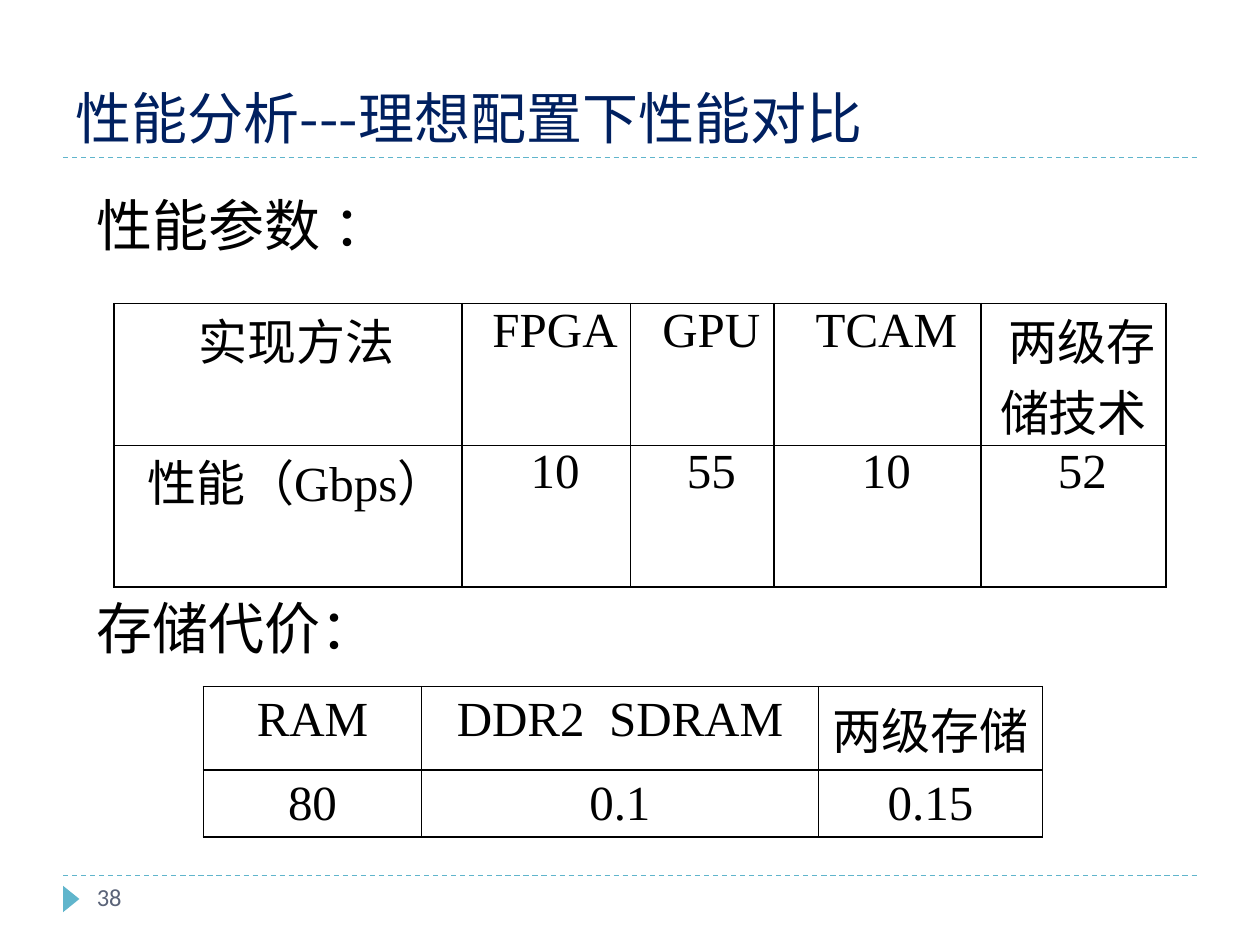
from dataclasses import dataclass

from lxml import etree
from pptx import Presentation, util as u
from pptx.dml.color import RGBColor
from pptx.enum import dml, shapes, text
from pptx.oxml.ns import qn


@dataclass(frozen=True)
class Theme:
    ink: str = "000000"
    navy: str = "002060"
    teal: str = "60B5CC"
    slate: str = "5A6378"
    cjk: str = "Noto Sans CJK SC"
    serif: str = "Times New Roman"
    sans: str = "Calibri"
    head: int = 32
    cell: int = 28
    foot: int = 14
    rule: float = 0.75
    edge: float = 1


LEFT, MID = text.PP_ALIGN.LEFT, text.PP_ALIGN.CENTER
TOP, LOW = text.MSO_ANCHOR.TOP, text.MSO_ANCHOR.BOTTOM


def put(obj, vals):
    for name, val in vals.items():
        setattr(obj, name, val)


def rgb(code):
    return RGBColor.from_string(code)


class Deck:
    """Places elements on a grid of 100 columns by 75 rows."""

    def __init__(self, theme):
        self.theme = theme
        self.prs = Presentation()
        put(self.prs, {"slide_width": u.Inches(10), "slide_height": u.Inches(7.5)})
        self.slide = self.prs.slides.add_slide(self.prs.slide_layouts[1])

    def col(self, n):
        return round(self.prs.slide_width * n / 100)

    def row(self, n):
        return round(self.prs.slide_height * n / 75)

    def box(self, x, y, w, h):
        return self.col(x), self.row(y), self.col(w), self.row(h)

    def place(self, shape, box):
        put(shape, dict(zip(("left", "top", "width", "height"), self.box(*box))))

    def para(self, par, words, size, font, color, align=LEFT, indent=0, gap=0):
        run = par.add_run()
        run.text = words
        put(par, {"alignment": align, "space_before": u.Pt(gap)})
        put(run.font, {"size": u.Pt(size), "name": font})
        run.font.color.rgb = rgb(color)
        latin = run.font._element.find(qn("a:latin"))
        east = etree.Element(qn("a:ea"), typeface=self.theme.cjk)
        latin.addnext(east)
        props = par._p.get_or_add_pPr()
        props.set("marL", "0")
        props.set("indent", str(self.col(indent)))
        etree.SubElement(props, qn("a:buNone"))

    def frame(self, shape, anchor=TOP):
        put(shape.text_frame, {"word_wrap": True, "vertical_anchor": anchor,
                               "auto_size": text.MSO_AUTO_SIZE.NONE})
        return shape.text_frame

    def title(self, words, box):
        shape = self.slide.shapes.title
        self.place(shape, box)
        frame = self.frame(shape, LOW)
        t = self.theme
        self.para(frame.paragraphs[0], words, t.head, t.cjk, t.navy)

    def body(self, heads, box, gap):
        """Section heads, with gap points of room for a table between them."""
        shape = self.slide.placeholders[1]
        self.place(shape, box)
        frame = self.frame(shape)
        t = self.theme
        for i, words in enumerate(heads):
            par = frame.add_paragraph() if i else frame.paragraphs[0]
            self.para(par, words, t.head, t.cjk, t.ink, gap=gap if i else 0)

    def label(self, words, box):
        shape = self.slide.shapes.add_textbox(*self.box(*box))
        t = self.theme
        self.para(self.frame(shape).paragraphs[0], words, t.foot, t.sans, t.slate)

    def rule(self, y):
        x1, x2, y = self.col(5), self.col(95), self.row(y)
        line = self.slide.shapes.add_connector(shapes.MSO_CONNECTOR.STRAIGHT, x1, y, x2, y)
        line.line.color.rgb = rgb(self.theme.teal)
        put(line.line, {"width": u.Pt(self.theme.rule),
                        "dash_style": dml.MSO_LINE.DASH})
        etree.SubElement(line._element.spPr, qn("a:effectLst"))

    def mark(self, box):
        shape = self.slide.shapes.add_shape(shapes.MSO_SHAPE.ISOSCELES_TRIANGLE,
                                            *self.box(*box))
        shape.rotation = 90
        shape.shadow.inherit = False
        shape.fill.solid()
        shape.fill.fore_color.rgb = rgb(self.theme.teal)
        shape.line.fill.background()

    def edges(self, cell):
        props = cell._tc.get_or_add_tcPr()
        for i, side in enumerate(("lnL", "lnR", "lnT", "lnB")):
            line = etree.Element(qn("a:" + side), w=str(u.Pt(self.theme.edge)))
            fill = etree.SubElement(line, qn("a:solidFill"))
            etree.SubElement(fill, qn("a:srgbClr"), val=self.theme.ink)
            props.insert(i, line)

    def table(self, data, x, y, cols, rows, indent=0, pads=None):
        shape = self.slide.shapes.add_table(len(rows), len(cols),
                                            *self.box(x, y, sum(cols), sum(rows)))
        grid = shape.table
        put(grid, {"first_row": False, "horz_banding": False})
        for part, width in zip(grid.columns, cols):
            part.width = self.col(width)
        for part, height in zip(grid.rows, rows):
            part.height = self.row(height)
        t = self.theme
        for r, line in enumerate(data):
            for c, words in enumerate(line):
                cell = grid.cell(r, c)
                put(cell, pads or {})
                cell.fill.background()
                self.edges(cell)
                self.para(cell.text_frame.paragraphs[0], words, t.cell, t.serif,
                          t.ink, MID, indent)

    def save(self):
        self.prs.save("out.pptx")


def main():
    deck = Deck(Theme())
    for y in (69.5, 12.5):
        deck.rule(y)
    deck.mark((4.6, 70.7, 2.1, 1.3))
    deck.body(["性能参数 ：", "存储代价："], (6.65, 14.6, 89.8, 44.1), gap=192)
    deck.title("性能分析---理想配置下性能对比", (5, 1.7, 90, 10.8))
    deck.label("38", (6.7, 69.5, 21.7, 4))
    side = deck.col(0.7)
    deck.table([["实现方法", "FPGA", "GPU", "TCAM", "两级存储技术"],
                ["性能（Gbps）", "10", "55", "10", "52"]],
               9.05, 24.1, (27.6, 13.4, 11.4, 16.4, 14.7), (11.2, 11.2), indent=1.4,
               pads={"margin_left": side, "margin_right": side,
                     "margin_top": 0, "margin_bottom": 0})
    deck.table([["RAM", "DDR2  SDRAM", "两级存储"], ["80", "0.1", "0.15"]],
               16.15, 54.5, (17.3, 31.5, 17.8), (6.6, 5.3))
    deck.save()


if __name__ == "__main__":
    main()
